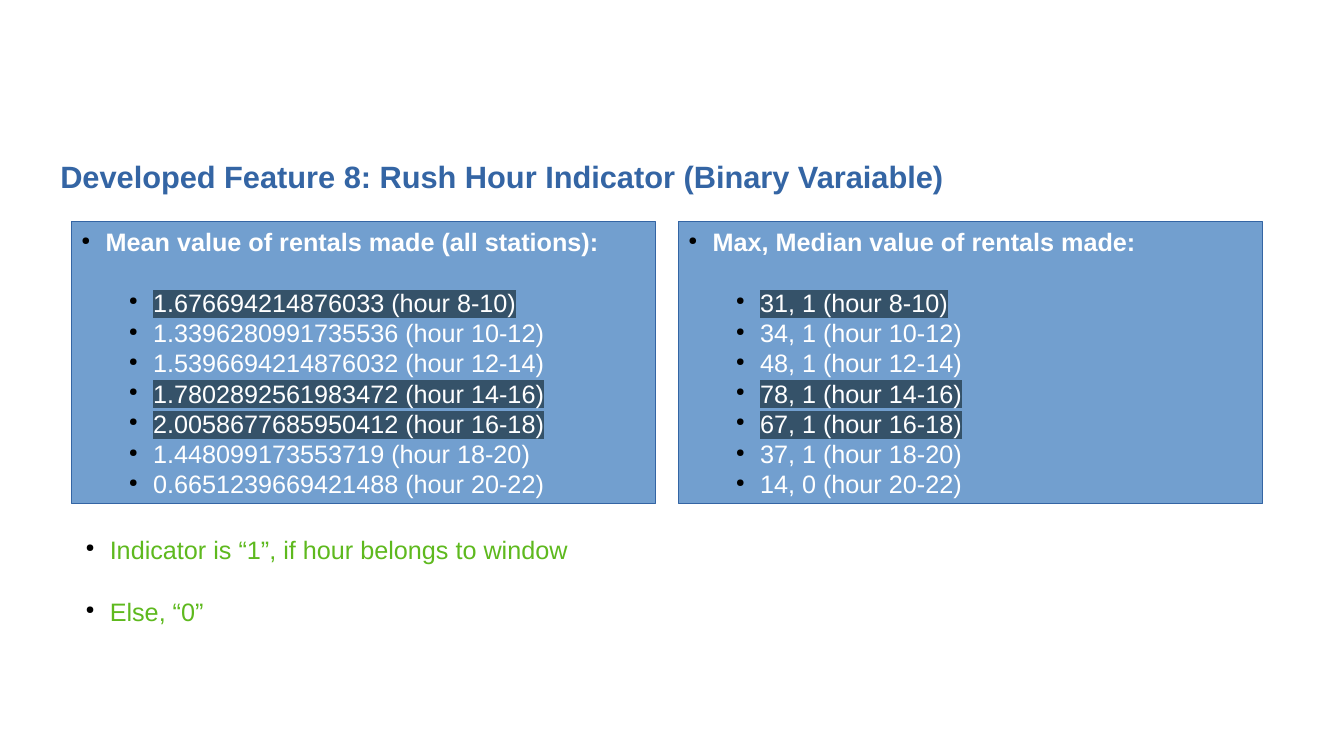
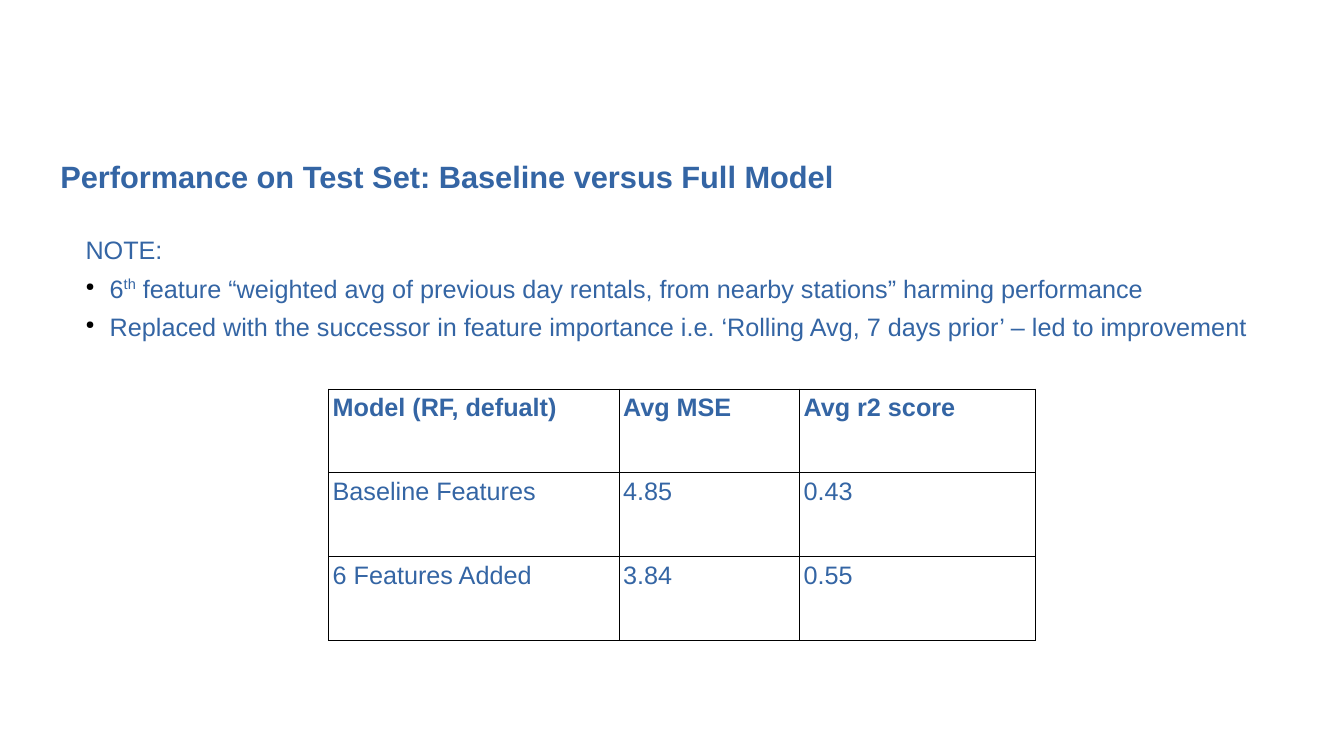
from lxml.etree import SubElement
from pptx import Presentation
from pptx.dml.color import RGBColor
from pptx.enum.shapes import MSO_SHAPE
from pptx.enum.text import MSO_ANCHOR, PP_ALIGN
from pptx.oxml.ns import qn
from pptx.util import Inches, Pt

BLUE = RGBColor(0x34, 0x65, 0xA4)
PANEL_BLUE = RGBColor(0x72, 0x9F, 0xCF)
RUSH_SLATE = RGBColor(0x35, 0x52, 0x69)
GREEN = RGBColor(0x5E, 0xB9, 0x1E)
WHITE = RGBColor(0xFF, 0xFF, 0xFF)
BLACK = RGBColor(0, 0, 0)
FONT = "Arial"
BODY_SIZE = 18
LINE_PITCH = 21.6

HOURS = ["8-10", "10-12", "12-14", "14-16", "16-18", "18-20", "20-22"]
RUSH_HOURS = {"8-10", "14-16", "16-18"}
PANELS = [
    ("Mean value of rentals made (all stations):",
     ["1.676694214876033", "1.3396280991735536", "1.5396694214876032",
      "1.7802892561983472", "2.0058677685950412", "1.448099173553719",
      "0.6651239669421488"]),
    ("Max, Median value of rentals made:",
     ["31, 1", "34, 1", "48, 1", "78, 1", "67, 1", "37, 1", "14, 0"]),
]
PANEL_LEFT, PANEL_TOP, PANEL_WIDTH, PANEL_HEIGHT = 0.71, 2.2, 5.79, 2.8
PANEL_GAP = 0.23

# Each line is (bulleted, [(text, is superscript), ...])
INDICATOR_LINES = [
    (True, [("Indicator is “1”, if hour belongs to window", False)]),
    (True, [("Else, “0”", False)]),
]
NOTE_LINES = [
    (False, [("NOTE:", False)]),
    (True, [("6", False), ("th", True),
            (" feature “weighted avg of previous day rentals, "
             "from nearby stations” harming performance", False)]),
    (True, [("Replaced with the successor in feature importance i.e. "
             "‘Rolling Avg, 7 days prior’ – led to improvement", False)]),
]
SCORES = [
    ("Model (RF, defualt)", "Avg MSE", "Avg r2 score"),
    ("Baseline Features", "4.85", "0.43"),
    ("6 Features Added", "3.84", "0.55"),
]
SCORE_WIDTHS = [2.88, 1.79, 2.34]
SCORE_ROW_HEIGHT = 0.83


def style_font(paragraph, color, size=BODY_SIZE, bold=False):
    font = paragraph.font
    font.name, font.size, font.bold = FONT, Pt(size), bold
    font.color.rgb = color


def add_bullet(paragraph, indent=0.24):
    properties = paragraph._p.get_or_add_pPr()
    properties.set("marL", str(Inches(indent)))
    properties.set("indent", str(Inches(-0.24)))
    color = SubElement(properties, qn("a:buClr"))
    SubElement(color, qn("a:srgbClr"), val=str(BLACK))
    SubElement(properties, qn("a:buSzPct"), val="45000")
    SubElement(properties, qn("a:buChar"), char="●")


def next_paragraph(frame, is_first):
    paragraph = frame.paragraphs[0] if is_first else frame.add_paragraph()
    paragraph.alignment = PP_ALIGN.LEFT
    paragraph.line_spacing = Pt(LINE_PITCH)
    return paragraph


def add_text_frame(slide, left, top, width, height):
    box = slide.shapes.add_textbox(Inches(left), Inches(top), Inches(width), Inches(height))
    box.text_frame.word_wrap = True
    return box.text_frame


def add_titled_slide(deck, title):
    slide = deck.slides.add_slide(deck.slide_layouts[6])
    frame = add_text_frame(slide, 0.5, 1.5, 12, 0.5)
    frame.vertical_anchor = MSO_ANCHOR.MIDDLE
    frame.text = title
    style_font(frame.paragraphs[0], BLUE, 22, bold=True)
    return slide


def add_lines(slide, lines, place, color, spacing):
    frame = add_text_frame(slide, *place)
    for index, (bulleted, runs) in enumerate(lines):
        paragraph = next_paragraph(frame, index == 0)
        if index:
            paragraph.space_before = Pt(spacing)
        paragraph.space_after = Pt(spacing)
        if bulleted:
            add_bullet(paragraph)
        style_font(paragraph, color)
        for text, superscript in runs:
            run = paragraph.add_run()
            run.text = text
            if superscript:
                run.font._element.set("baseline", "33000")


def add_panel(slide, left, heading, values):
    panel = slide.shapes.add_shape(MSO_SHAPE.RECTANGLE, Inches(left), Inches(PANEL_TOP),
                                   Inches(PANEL_WIDTH), Inches(PANEL_HEIGHT))
    panel.shadow.inherit = False
    panel.fill.solid()
    panel.fill.fore_color.rgb = PANEL_BLUE
    panel.line.color.rgb = BLUE
    panel.line.width = Pt(0)
    frame = panel.text_frame
    frame.word_wrap = True
    frame.vertical_anchor = MSO_ANCHOR.TOP

    title = next_paragraph(frame, True)
    title.space_after = Pt(LINE_PITCH)
    add_bullet(title)
    style_font(title, WHITE, bold=True)
    title.add_run().text = heading
    for hours, value in zip(HOURS, values):
        paragraph = next_paragraph(frame, False)
        paragraph.level = 1
        add_bullet(paragraph, 0.71)
        style_font(paragraph, WHITE)
        run = paragraph.add_run()
        run.text = f"{value} (hour {hours})"
        if hours in RUSH_HOURS:
            highlight = SubElement(run.font._element, qn("a:highlight"))
            SubElement(highlight, qn("a:srgbClr"), val=str(RUSH_SLATE))


def add_cell_borders(cell):
    properties = cell._tc.get_or_add_tcPr()
    for side in ("a:lnL", "a:lnR", "a:lnT", "a:lnB"):
        border = SubElement(properties, qn(side), w=str(Pt(0.57)))
        fill = SubElement(border, qn("a:solidFill"))
        SubElement(fill, qn("a:srgbClr"), val=str(BLACK))


def add_score_table(slide):
    table = slide.shapes.add_table(
        len(SCORES), len(SCORE_WIDTHS), Inches(3.26), Inches(3.86),
        Inches(sum(SCORE_WIDTHS)), Inches(SCORE_ROW_HEIGHT * len(SCORES))).table
    table.first_row = table.horz_banding = False
    for column, width in zip(table.columns, SCORE_WIDTHS):
        column.width = Inches(width)
    for row_index, row in enumerate(SCORES):
        for column_index, text in enumerate(row):
            cell = table.cell(row_index, column_index)
            cell.margin_left = cell.margin_right = Inches(0.04)
            cell.text = text
            style_font(cell.text_frame.paragraphs[0], BLUE, bold=row_index == 0)
            add_cell_borders(cell)
            cell.fill.background()


def main():
    deck = Presentation()
    deck.slide_width, deck.slide_height = Inches(13.33), Inches(7.5)

    rush_hour = add_titled_slide(
        deck, "Developed Feature 8: Rush Hour Indicator (Binary Varaiable)")
    for index, (heading, values) in enumerate(PANELS):
        left = PANEL_LEFT + index * (PANEL_WIDTH + PANEL_GAP)
        add_panel(rush_hour, left, heading, values)
    add_lines(rush_hour, INDICATOR_LINES, (0.75, 5.25, 8.51, 0.97), GREEN, 11.3)

    performance = add_titled_slide(
        deck, "Performance on Test Set: Baseline versus Full Model")
    add_score_table(performance)
    add_lines(performance, NOTE_LINES, (0.75, 2.28, 11.8, 1.09), BLUE, 2.8)

    deck.save("out.pptx")


if __name__ == "__main__":
    main()
